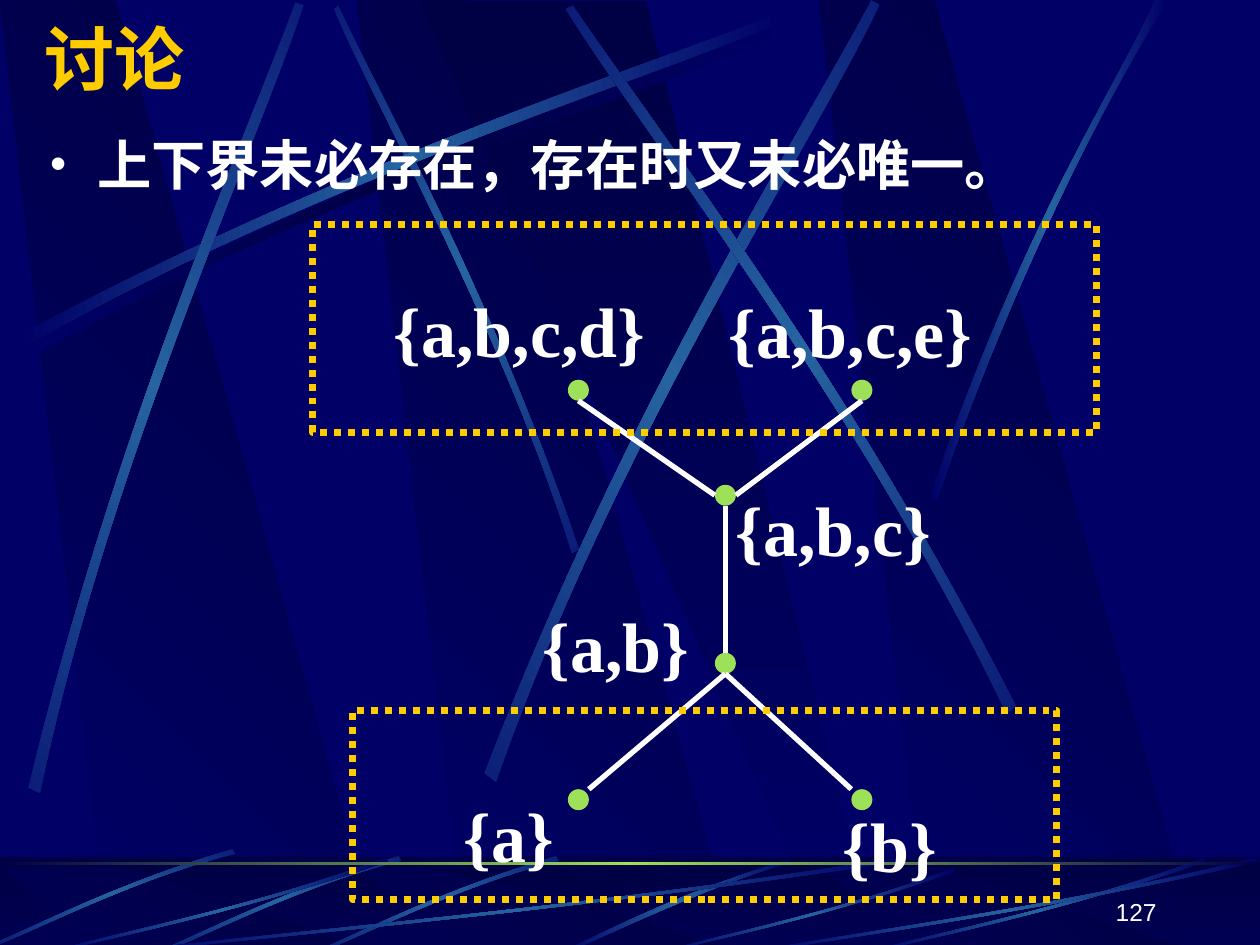
"""Build the discussion slide on upper and lower bounds with a Hasse diagram."""
import math

import pptx
import pptx.dml.color
import pptx.enum.dml
import pptx.enum.shapes
import pptx.enum.text
import pptx.oxml.ns
import pptx.util
from lxml import etree

Pt = pptx.util.Pt
qn = pptx.oxml.ns.qn
Shapes = pptx.enum.shapes.MSO_SHAPE
Align = pptx.enum.text.PP_ALIGN
Anchor = pptx.enum.text.MSO_ANCHOR

THEME = {
    "navy": "000066", "dark": "000044", "beam": "2663A0",
    "green": "9CE157", "gold": "FFCC00", "white": "FFFFFF",
    "sans": "Arial", "cjk": "Noto Sans CJK SC", "serif": "Times New Roman",
    "title": 40, "body": 31, "label": 40, "number": 14,
}
WIDTH, HEIGHT = 720, 540
FLOOR = (0, 490, 720, 54)
HORIZON = (0, 492.5, 720, 1.8)

TITLE = ("讨论", (18.5, 5, 612, 55.5))
BODY = ("上下界未必存在，存在时又未必唯一。", (21.5, 71.5, 696, 468))
NUMBER = ("127", (518, 497, 150, 36))
LABELS = [
    ("{a}", (258, 440, 73, 65)),
    ("{b}", (474.5, 445.5, 75.5, 65)),
    ("{a,b}", (303, 331, 105, 65)),
    ("{a,b,c}", (413.5, 265, 133, 65)),
    ("{a,b,c,d}", (218, 151, 165.5, 65)),
    ("{a,b,c,e}", (409.5, 152, 160.5, 65)),
]
DOT = 12
NODES = {
    "abc": (414.5, 283), "ab": (414.5, 379), "abcd": (330.5, 223),
    "abce": (492.5, 223), "a": (330.5, 457), "b": (492.5, 457),
}
EDGES = [
    ("abc", (0, 1), "ab", (0, -1)),
    ("abcd", (0, 1), "abc", (-1, 0)),
    ("abce", (0, 1), "abc", (1, 0)),
    ("ab", (0, 1), "a", (1, -1)),
    ("ab", (0, 1), "b", (-1, -1)),
]
FRAMES = [(201.5, 406, 402.5, 108), (178.5, 128.3, 448, 118.7)]

BEAM_OFFSETS = (204, 0, 468)
BEAM = [(62, 1), (217, 1), (66, 0), (0, 0)]
CROSS_BEAM = [(240, 0), (474, 1), (500, 1), (369, 0)]
SWEEP = [(10, 192), (200, 90), (373, 37), (446, 7), (449, 11.5), (376, 44), (178.5, 103), (12, 199.5)]
RAYS = [
    (45, (260.6, 160.2), [(331, 314), (281.5, 168.5), (217.5, 55.5), (193.5, 3.5),
                          (191, 5), (212.5, 57), (286.5, 186), (327, 316)]),
    (0, (0, 0), SWEEP),
    (311.7, (95.8, 227.2), [(16.5, 450), (67, 240.5), (142, 75.5), (169, 1.5),
                            (173.5, 3), (149, 78.5), (62, 265), (23, 453)]),
    (321.6, (391, 223.6), [(277, 442), (358.5, 230.5), (459.5, 73.5), (498, 0.5),
                           (502.5, 3), (467.5, 78), (350, 255.5), (283.5, 447)]),
    (34.7, (451.5, 205.6), [(580.5, 403), (482.5, 211), (371.5, 68.5), (327.5, 3),
                            (323.5, 5), (365, 72.5), (493, 234), (575.5, 408)]),
    (0, (0, 0), [(531.5, 283.5), (586, 124.5), (639.5, 47.5), (660, 0),
                 (667.5, 0), (602, 104.5), (553.5, 232), (535.5, 286)]),
]
FLOOR_ARC = [(451.5, 491), (386.5, 510.5), (343.5, 534), (322.5, 543),
             (326, 543.5), (353, 531.5), (411, 504), (452, 493)]
FLOOR_RAY = [(318, 489.5), (255.5, 507.5), (206.5, 533), (184.5, 542),
             (185, 543.5), (207.5, 535), (263, 506), (319.5, 492)]
FLOOR_RAY_CENTRE = (252, 516.6)
FLOOR_RAY_SHIFTS = [(0, 0), (-90, 0), (-185, -4)]
FAN = [(1, 0.04), (0.57, 0.57), (0.17, 0.85), (0.01, 1), (0, 0.99), (0.17, 0.81), (0.62, 0.51), (0.99, 0)]
FAN_BOXES = [(72, 490, 444, 54), (30, 490, 192, 54), (379.5, 496, 166.5, 48),
             (498, 490, 192, 54), (432, 490, 288, 54)]


def rgb(name):
    return pptx.dml.color.RGBColor.from_string(THEME[name])


def points(values):
    return [Pt(value) for value in values]


def shift(outline, dx, dy):
    return [(x + dx, y + dy) for x, y in outline]


def paint(shape, colours, angle=0):
    shape.shadow.inherit = False
    shape.line.fill.background()
    if len(colours) == 1:
        shape.fill.solid()
        shape.fill.fore_color.rgb = rgb(colours[0])
        return
    shape.fill.gradient()
    shape.fill.gradient_angle = (360 - angle) % 360
    stops = next(shape._element.iter(qn("a:gsLst")))
    for stop in list(stops):
        stops.remove(stop)
    for index, colour in enumerate(colours):
        stop = etree.SubElement(stops, qn("a:gs"), pos=str(100000 * index // (len(colours) - 1)))
        etree.SubElement(stop, qn("a:srgbClr"), val=THEME[colour])


def add_shape(page, kind, frame, colours, angle=0):
    shape = page.shapes.add_shape(kind, *points(frame))
    paint(shape, colours, angle)
    return shape


def add_outline(page, outline, colours, angle=0):
    corners = [points(corner) for corner in outline]
    builder = page.shapes.build_freeform(*corners[0], scale=1.0)
    builder.add_line_segments(corners[1:], close=True)
    shape = builder.convert_to_shape()
    paint(shape, colours, angle)
    return shape


def add_ribbon(page, outline, middle="beam", rotation=0, centre=(0, 0)):
    cos, sin = math.cos(math.radians(rotation)), math.sin(math.radians(rotation))
    cx, cy = centre
    level = [(cx + (x - cx) * cos + (y - cy) * sin, cy + (y - cy) * cos - (x - cx) * sin) for x, y in outline]
    shape = add_outline(page, level, ["navy", middle, "navy"])
    shape.rotation = rotation
    segments = list(shape._element.iter(qn("a:lnTo")))
    for side in (segments[:3], segments[4:7]):
        curve = etree.Element(qn("a:cubicBezTo"))
        side[0].addprevious(curve)
        for segment in side:
            curve.append(segment[0])
            segment.getparent().remove(segment)


def add_beams(page, top, bottom):
    for offset in BEAM_OFFSETS:
        add_outline(page, [(offset + x, (top, bottom)[end]) for x, end in BEAM], ["navy", "dark"], 315)
    add_outline(page, [(x, (top, bottom)[end]) for x, end in CROSS_BEAM], ["dark", "navy"], 90)


def add_backdrop(page):
    add_beams(page, 0.5, 541)
    add_ribbon(page, shift(SWEEP, 4.4, 5.8), "dark")
    for rotation, centre, outline in RAYS:
        add_ribbon(page, outline, rotation=rotation, centre=centre)
    add_shape(page, Shapes.RECTANGLE, FLOOR, ["dark", "navy"], 90)
    add_beams(page, 495.5, 543.5)
    veil = add_shape(page, Shapes.RECTANGLE, FLOOR, ["dark"])
    colour = next(veil._element.spPr.iter(qn("a:srgbClr")))
    etree.SubElement(colour, qn("a:alpha"), val="50000")
    add_ribbon(page, FLOOR_ARC)
    for dx, dy in FLOOR_RAY_SHIFTS:
        centre = shift([FLOOR_RAY_CENTRE], dx, dy)[0]
        add_ribbon(page, shift(FLOOR_RAY, dx, dy), rotation=315, centre=centre)
    for left, top, width, height in FAN_BOXES:
        add_ribbon(page, [(left + x * width, top + y * height) for x, y in FAN])
    add_shape(page, Shapes.RECTANGLE, HORIZON, ["dark", "green", "dark"])


def move_to_master(page, master):
    for number, shape in enumerate(list(page.shapes), start=100):
        next(shape._element.iter(qn("p:cNvPr"))).set("id", str(number))
        master.shapes._spTree.append(shape._element)


def add_text(page, content, size, font, colour="white", bold=True, wrap=True, anchor=Anchor.TOP):
    words, frame = content
    box = page.shapes.add_textbox(*points(frame))
    box.text_frame.text = words
    box.text_frame.word_wrap = wrap
    box.text_frame.vertical_anchor = anchor
    para = box.text_frame.paragraphs[0]
    span = para.runs[0]
    span.font.size, span.font.bold = Pt(THEME[size]), bold
    span.font.name, span.font.color.rgb = THEME[font], rgb(colour)
    etree.SubElement(span._r.get_or_add_rPr(), qn("a:ea"), typeface=THEME["cjk"])
    return para


def add_diagram(page):
    for x, y in NODES.values():
        add_shape(page, Shapes.OVAL, (x - DOT / 2, y - DOT / 2, DOT, DOT), ["green"])
    for start, start_side, end, end_side in EDGES:
        ends = [NODES[node][axis] + side[axis] * DOT / 2
                for node, side in ((start, start_side), (end, end_side)) for axis in (0, 1)]
        edge = page.shapes.add_connector(pptx.enum.shapes.MSO_CONNECTOR.STRAIGHT, *points(ends))
        edge.line.color.rgb, edge.line.width = rgb("white"), Pt(3)
        etree.SubElement(edge._element.spPr, qn("a:effectLst"))
    for label in LABELS:
        add_text(page, label, "label", "serif", wrap=False).line_spacing = 1.2
    for frame in FRAMES:
        border = add_shape(page, Shapes.RECTANGLE, frame, ["gold"])
        border.fill.background()
        border.line.color.rgb, border.line.width = rgb("gold"), Pt(4)
        border.line.dash_style = pptx.enum.dml.MSO_LINE.ROUND_DOT


def main():
    deck = pptx.Presentation()
    deck.slide_width, deck.slide_height = Pt(WIDTH), Pt(HEIGHT)
    page = deck.slides.add_slide(deck.slide_layouts[6])
    page.background.fill.solid()
    page.background.fill.fore_color.rgb = rgb("navy")
    add_backdrop(page)
    move_to_master(page, deck.slide_master)
    bullet = add_text(page, BODY, "body", "sans")._p.get_or_add_pPr()
    bullet.set("marL", str(Pt(27)))
    bullet.set("indent", str(-Pt(27)))
    etree.SubElement(bullet, qn("a:buSzPct"), val="85000")
    etree.SubElement(bullet, qn("a:buFont"), typeface=THEME["sans"])
    etree.SubElement(bullet, qn("a:buChar"), char="•")
    add_diagram(page)
    add_text(page, NUMBER, "number", "sans", bold=False, anchor=Anchor.BOTTOM).alignment = Align.RIGHT
    add_text(page, TITLE, "title", "cjk", "gold", anchor=Anchor.MIDDLE)
    deck.save("out.pptx")


if __name__ == "__main__":
    main()
